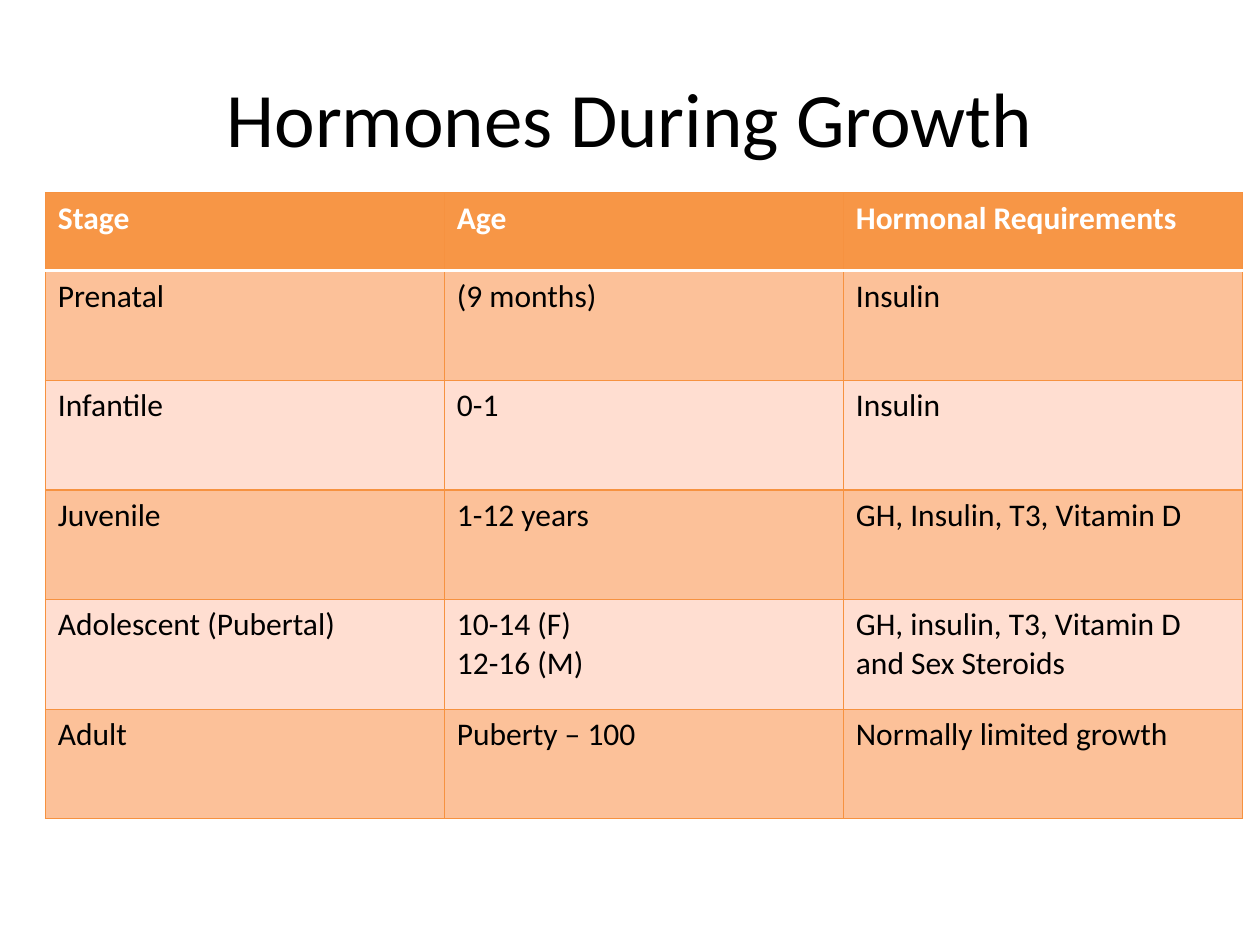
"""Build a slide with a table of the hormones needed at each stage of growth."""
from lxml import etree
from pptx import Presentation
from pptx.dml.color import RGBColor
from pptx.enum.text import MSO_ANCHOR, PP_ALIGN
from pptx.oxml.ns import qn
from pptx.util import Inches, Pt

CENTER, LEFT = PP_ALIGN.CENTER, PP_ALIGN.LEFT
MIDDLE, TOP = MSO_ANCHOR.MIDDLE, MSO_ANCHOR.TOP
HEADER, BAND, LIGHT = "F79646", "FCC199", "FFDED1"
GRID = ("F69240", 0.75)
RULE = ("FFFFFF", 2)

STAGES = [
    ("Stage", "Age", "Hormonal Requirements"),
    ("Prenatal", "(9 months)", "Insulin"),
    ("Infantile", "0-1", "Insulin"),
    ("Juvenile", "1-12 years", "GH, Insulin, T3, Vitamin D"),
    ("Adolescent (Pubertal)", "10-14 (F)\n12-16 (M)",
     "GH, insulin, T3, Vitamin D and Sex Steroids"),
    ("Adult", "Puberty – 100", "Normally limited growth"),
]


def write(frame, text, size=18, color="000000", bold=False, align=LEFT, anchor=TOP):
    frame.word_wrap = True
    frame.vertical_anchor = anchor
    frame.text = text
    for paragraph in frame.paragraphs:
        paragraph.alignment = align
        font = paragraph.runs[0].font
        font.name, font.size, font.bold = "Calibri", Pt(size), bold
        font.color.rgb = RGBColor.from_string(color)


def set_borders(cell, **sides):
    properties = cell._tc.get_or_add_tcPr()
    for position, side in enumerate("LRTB"):
        color, width = sides.get(side, GRID)
        line = etree.Element(qn(f"a:ln{side}"), w=str(Pt(width)))
        solid = etree.SubElement(line, qn("a:solidFill"))
        etree.SubElement(solid, qn("a:srgbClr"), val=color)
        properties.insert(position, line)


presentation = Presentation()
presentation.slide_width, presentation.slide_height = Inches(10), Inches(7.5)
slide = presentation.slides.add_slide(presentation.slide_layouts[6])

title = slide.shapes.add_textbox(Inches(0.5), Inches(0.3), Inches(9), Inches(1.25))
write(title.text_frame, "Hormones During Growth", size=44, align=CENTER, anchor=MIDDLE)

growth = slide.shapes.add_table(
    len(STAGES), 3, Inches(0.36), Inches(1.53), Inches(9.5), Inches(4.97)).table
for row_number, stage in enumerate(STAGES):
    is_header = row_number == 0
    growth.rows[row_number].height = Inches(0.62 if is_header else 0.87)
    fill = HEADER if is_header else BAND if row_number % 2 else LIGHT
    for column, text in enumerate(stage):
        cell = growth.cell(row_number, column)
        write(cell.text_frame, text, bold=is_header,
              color="FFFFFF" if is_header else "000000")
        cell.fill.solid()
        cell.fill.fore_color.rgb = RGBColor.from_string(fill)
        set_borders(cell, T=RULE if row_number == 1 else GRID,
                    B=RULE if is_header else GRID)

presentation.save("out.pptx")
